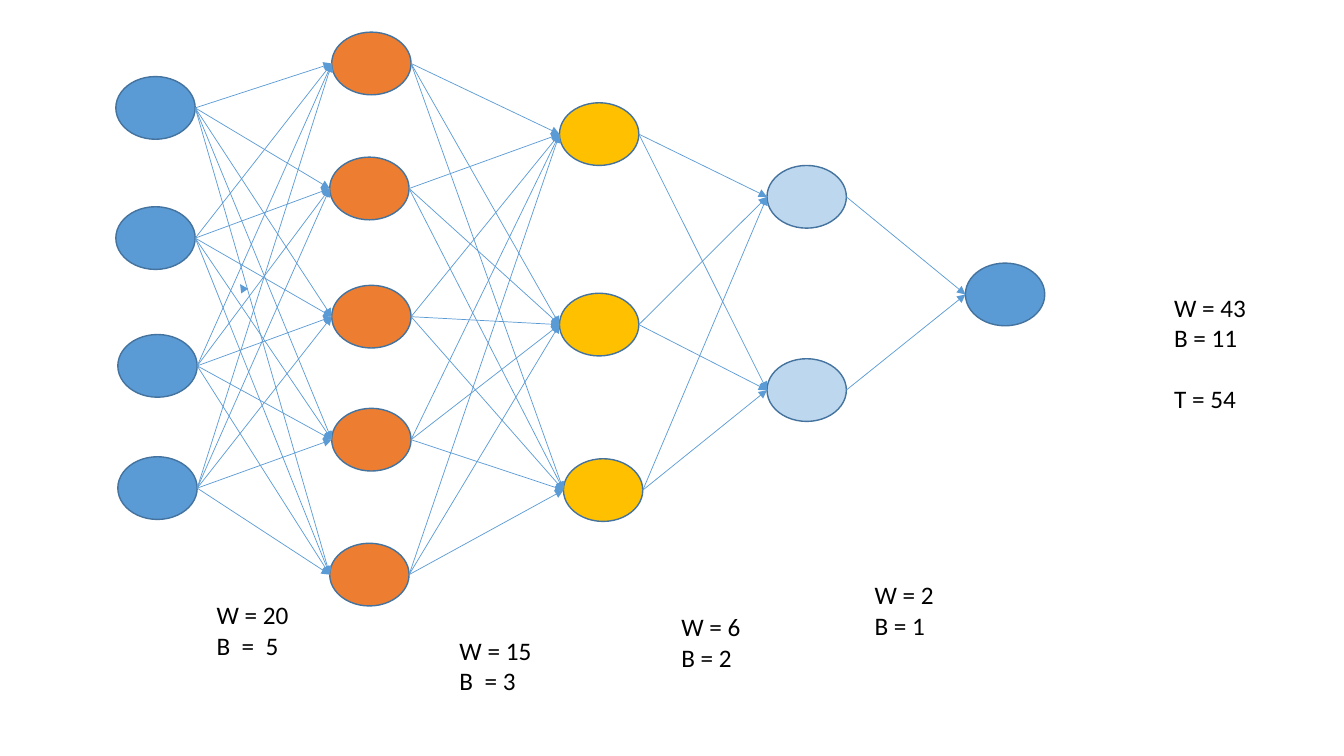
import itertools
from dataclasses import dataclass

import pptx
import pptx.dml.color
import pptx.enum.shapes
import pptx.enum.text
import pptx.oxml
import pptx.oxml.ns
import pptx.slide
import pptx.util
from pptx.util import Cm, Pt

NODE_WIDTH, NODE_HEIGHT = 2.0, 1.58
BLUE, ORANGE, GOLD, PALE_BLUE = "5B9BD5", "ED7D31", "FFC000", "BDD7EE"
OUTLINE = "43739E"


@dataclass(frozen=True)
class Node:
    left: float
    top: float

    @property
    def entry(self) -> tuple[float, float]:
        return self.left, self.top + NODE_HEIGHT / 2

    @property
    def exit(self) -> tuple[float, float]:
        return self.left + NODE_WIDTH, self.top + NODE_HEIGHT / 2


@dataclass(frozen=True)
class Layer:
    fill: str
    nodes: list[Node]


@dataclass(frozen=True)
class Count:
    """Parameter count; the total, if any, stands one line below the rest."""
    left: float
    top: float
    width: float
    lines: list[str]
    total: str = ""


LAYERS = [
    Layer(BLUE, [Node(2.92, 1.93), Node(2.92, 5.21), Node(2.97, 8.43), Node(2.97, 11.51)]),
    Layer(ORANGE, [Node(8.36, 0.81), Node(8.31, 3.96), Node(8.36, 7.19),
                   Node(8.36, 10.29), Node(8.31, 13.69)]),
    Layer(GOLD, [Node(14.1, 2.59), Node(14.1, 7.39), Node(14.2, 11.56)]),
    Layer(PALE_BLUE, [Node(19.33, 4.17), Node(19.33, 9.04)]),
    Layer(BLUE, [Node(24.33, 6.63)]),
]

COUNTS = [
    Count(5.21, 14.99, 3.12, ["W = 20", "B  =  5"]),
    Count(11.33, 15.88, 2.54, ["W = 15", "B  = 3"]),
    Count(16.92, 15.29, 2.34, ["W = 6", "B = 2"]),
    Count(21.79, 14.48, 2.82, ["W = 2", "B = 1"]),
    Count(29.34, 7.24, 3.12, ["W = 43", "B = 11"], total="T = 54"),
]


def color(value: str) -> pptx.dml.color.RGBColor:
    return pptx.dml.color.RGBColor.from_string(value)


def draw_node(page: pptx.slide.Slide, node: Node, fill: str) -> None:
    oval = page.shapes.add_shape(
        pptx.enum.shapes.MSO_SHAPE.OVAL,
        Cm(node.left), Cm(node.top), Cm(NODE_WIDTH), Cm(NODE_HEIGHT))
    oval.shadow.inherit = False
    oval.fill.solid()
    oval.fill.fore_color.rgb = color(fill)
    oval.line.color.rgb = color(OUTLINE)
    oval.line.width = Pt(1)


def draw_arrow(page: pptx.slide.Slide, start: tuple[float, float],
               end: tuple[float, float]) -> None:
    arrow = page.shapes.add_connector(
        pptx.enum.shapes.MSO_CONNECTOR.STRAIGHT,
        Cm(start[0]), Cm(start[1]), Cm(end[0]), Cm(end[1]))
    arrow.line.color.rgb = color(BLUE)
    arrow.line.width = Pt(0.5)
    properties = arrow.element.spPr
    line = properties.find(pptx.oxml.ns.qn("a:ln"))
    head = pptx.oxml.parse_xml(
        f'<a:tailEnd {pptx.oxml.ns.nsdecls("a")} type="triangle"/>')
    line.append(head)
    properties.append(pptx.oxml.parse_xml(
        f'<a:effectLst {pptx.oxml.ns.nsdecls("a")}/>'))


def write(para, text: str, *, size: float = 18, font: str = "Calibri",
          fill: str = "000000", space_before: float = 0) -> None:
    para.space_before = Pt(space_before)
    span = para.add_run()
    span.text = text
    span.font.size = Pt(size)
    span.font.name = font
    span.font.color.rgb = color(fill)


def draw_count(page: pptx.slide.Slide, count: Count) -> None:
    height = 3.33 if count.total else 1.8
    box = page.shapes.add_textbox(
        Cm(count.left), Cm(count.top), Cm(count.width), Cm(height))
    frame = box.text_frame
    frame.word_wrap = True
    frame.auto_size = pptx.enum.text.MSO_AUTO_SIZE.SHAPE_TO_FIT_TEXT
    write(frame.paragraphs[0], count.lines[0])
    for line in count.lines[1:]:
        write(frame.add_paragraph(), line)
    if count.total:
        write(frame.add_paragraph(), count.total, space_before=22)


def main() -> None:
    deck = pptx.Presentation()
    deck.slide_width, deck.slide_height = Cm(33.87), Cm(19.05)
    page = deck.slides.add_slide(deck.slide_layouts[6])
    for layer in LAYERS:
        for node in layer.nodes:
            draw_node(page, node, layer.fill)
    for layer, following in itertools.pairwise(LAYERS):
        for source, target in itertools.product(layer.nodes, following.nodes):
            draw_arrow(page, source.exit, target.entry)
    # A tiny loose arrow lies between the first two layers.
    draw_arrow(page, (6.07, 7.19), (6.05, 7.16))
    for count in COUNTS:
        draw_count(page, count)
    deck.save("out.pptx")


if __name__ == "__main__":
    main()
